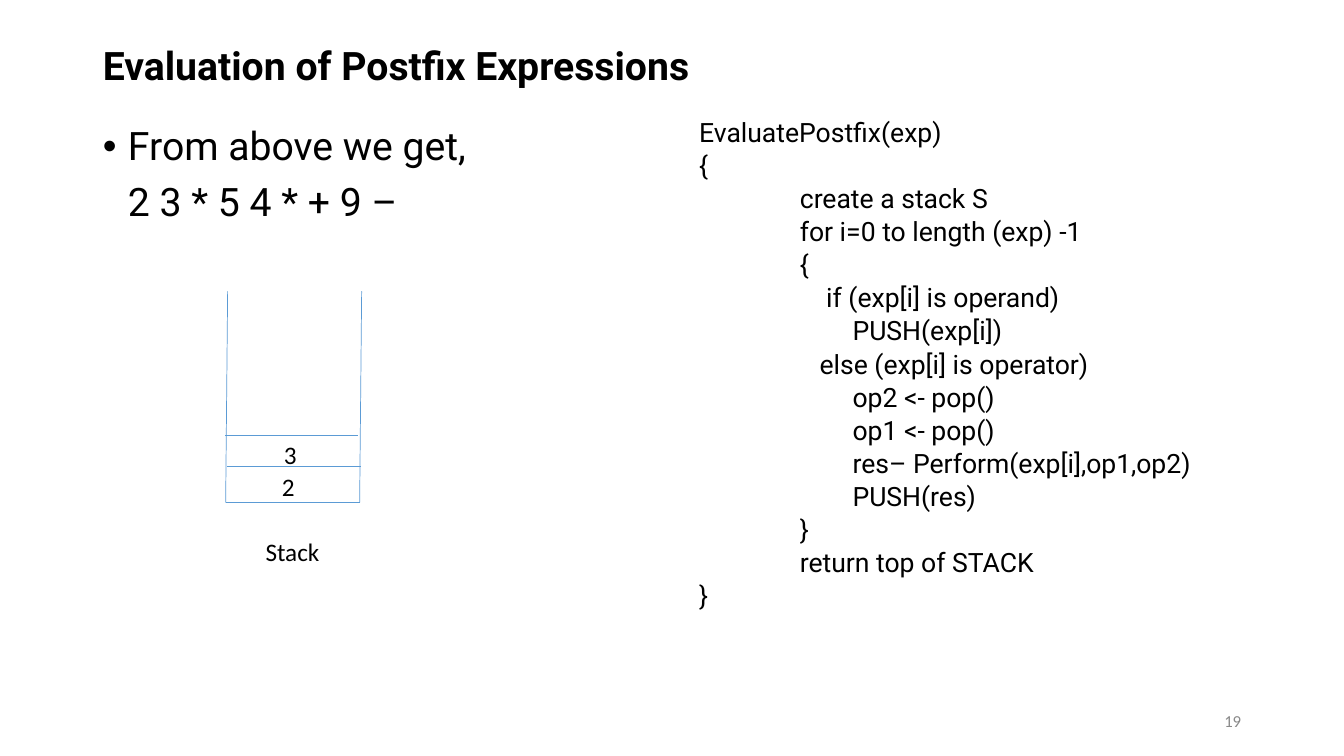
from lxml import etree
from pptx import Presentation
from pptx.dml.color import RGBColor
from pptx.enum.shapes import MSO_CONNECTOR
from pptx.enum.text import MSO_ANCHOR, MSO_AUTO_SIZE, PP_ALIGN
from pptx.oxml.ns import qn
from pptx.util import Inches, Pt

LINE = MSO_CONNECTOR.STRAIGHT
TOP, MID = MSO_ANCHOR.TOP, MSO_ANCHOR.MIDDLE
LEFT, RIGHT = PP_ALIGN.LEFT, PP_ALIGN.RIGHT
FIXED = MSO_AUTO_SIZE.NONE

BLACK = RGBColor(0x00, 0x00, 0x00)
GREY = RGBColor(0x89, 0x89, 0x89)
BLUE = RGBColor(0x5B, 0x9B, 0xD5)

deck = Presentation()
deck.slide_width, deck.slide_height = Inches(13.34), Inches(7.5)
# Grid of 100 columns by 100 rows
COL, ROW = deck.slide_width / 100, deck.slide_height / 100
slide = deck.slides.add_slide(deck.slide_layouts[3])


def place(box, x, y, wide, high, anchor=TOP, wrap=True):
    box.left, box.top = int(x * COL), int(y * ROW)
    box.width, box.height = int(wide * COL), int(high * ROW)
    frame = box.text_frame
    look = {"auto_size": FIXED, "word_wrap": wrap, "vertical_anchor": anchor}
    for key, val in look.items():
        setattr(frame, key, val)
    return frame


def write(frame, lines, font, space=1.0, align=LEFT):
    for i, text in enumerate(lines):
        para = frame.paragraphs[0] if i == 0 else frame.add_paragraph()
        run = para.add_run()
        run.text = text
        look = {"line_spacing": space, "alignment": align,
                "space_before": Pt(10 if i else 0)}
        for key, val in look.items():
            setattr(para, key, val)
        for key, val in font.items():
            setattr(run.font, key, val)
        run.font.color.rgb = GREY if align == RIGHT else BLACK


# Title
head = place(slide.shapes.title, 6.9, 5.25, 86.21, 7.47, MID)
write(head, ["Evaluation of Postfix Expressions"],
      {"name": "Roboto", "size": Pt(28), "bold": True}, 0.9)

# Postfix expression, with a bullet on the first line only
body = place(slide.placeholders[1], 6.9, 16.1, 39.13, 74)
write(body, ["From above we get,", "2 3 * 5 4 * + 9 –"],
      {"name": "Roboto", "size": Pt(28)}, 0.9)
for para, hang in zip(body.paragraphs, (Inches(-0.25), 0)):
    prop = para._p.get_or_add_pPr()
    prop.set("marL", str(Inches(0.25)))
    prop.set("indent", str(hang))
    if hang:
        etree.SubElement(prop, qn("a:buFont"), typeface="Arial")
        etree.SubElement(prop, qn("a:buChar"), char="•")
    else:
        etree.SubElement(prop, qn("a:buNone"))

# Algorithm: all lines but the first two and the last are set in by one inch
CODE = """EvaluatePostfix(exp)
{
create a stack S
for i=0 to length (exp) -1
{
    if (exp[i] is operand)
        PUSH(exp[i])
   else (exp[i] is operator)
        op2 <- pop()
        op1 <- pop()
        res– Perform(exp[i],op1,op2)
        PUSH(res)
}
return top of STACK
}""".split("\n")
code = place(slide.placeholders[2], 51.27, 16.1, 39.13, 74)
write(code, CODE, {"name": "Roboto", "size": Pt(19)}, 0.6)
for i, para in enumerate(code.paragraphs):
    inner = 1 < i < len(CODE) - 1
    prop = para._p.get_or_add_pPr()
    prop.set("marL", str(Inches(1) if inner else 0))
    prop.set("indent", "0")
    etree.SubElement(prop, qn("a:buNone"))

# Stack outline: two walls, the floor and the cell edges
EDGES = [
    (16.94, 38.53, 16.79, 66.5),
    (26.91, 38.53, 26.76, 66.5),
    (26.76, 66.5, 16.79, 66.5),
    (26.84, 61.73, 16.87, 61.73),
    (26.61, 57.55, 16.72, 57.55),
]
for x1, y1, x2, y2 in EDGES:
    edge = slide.shapes.add_connector(
        LINE, int(x1 * COL), int(y1 * ROW), int(x2 * COL), int(y2 * ROW))
    edge.line.color.rgb = BLUE
    edge.line.width = Pt(0.5)
    etree.SubElement(edge._element.spPr, qn("a:effectLst"))

# Stack values, caption and page number
LABELS = [
    ("2", 20.24, 61.67, 2.25, TOP, True, 18, LEFT),
    ("3", 20.39, 57.4, 2.25, TOP, True, 18, LEFT),
    ("Stack", 19.02, 70.27, 5.55, TOP, False, 18, LEFT),
    ("19", 70.61, 92.67, 22.49, MID, True, 12, RIGHT),
]
for text, x, y, wide, anchor, wrap, size, align in LABELS:
    box = slide.shapes.add_textbox(0, 0, 0, 0)
    frame = place(box, x, y, wide, 5.33, anchor, wrap)
    write(frame, [text], {"name": "Calibri", "size": Pt(size)}, align=align)

deck.save("out.pptx")
